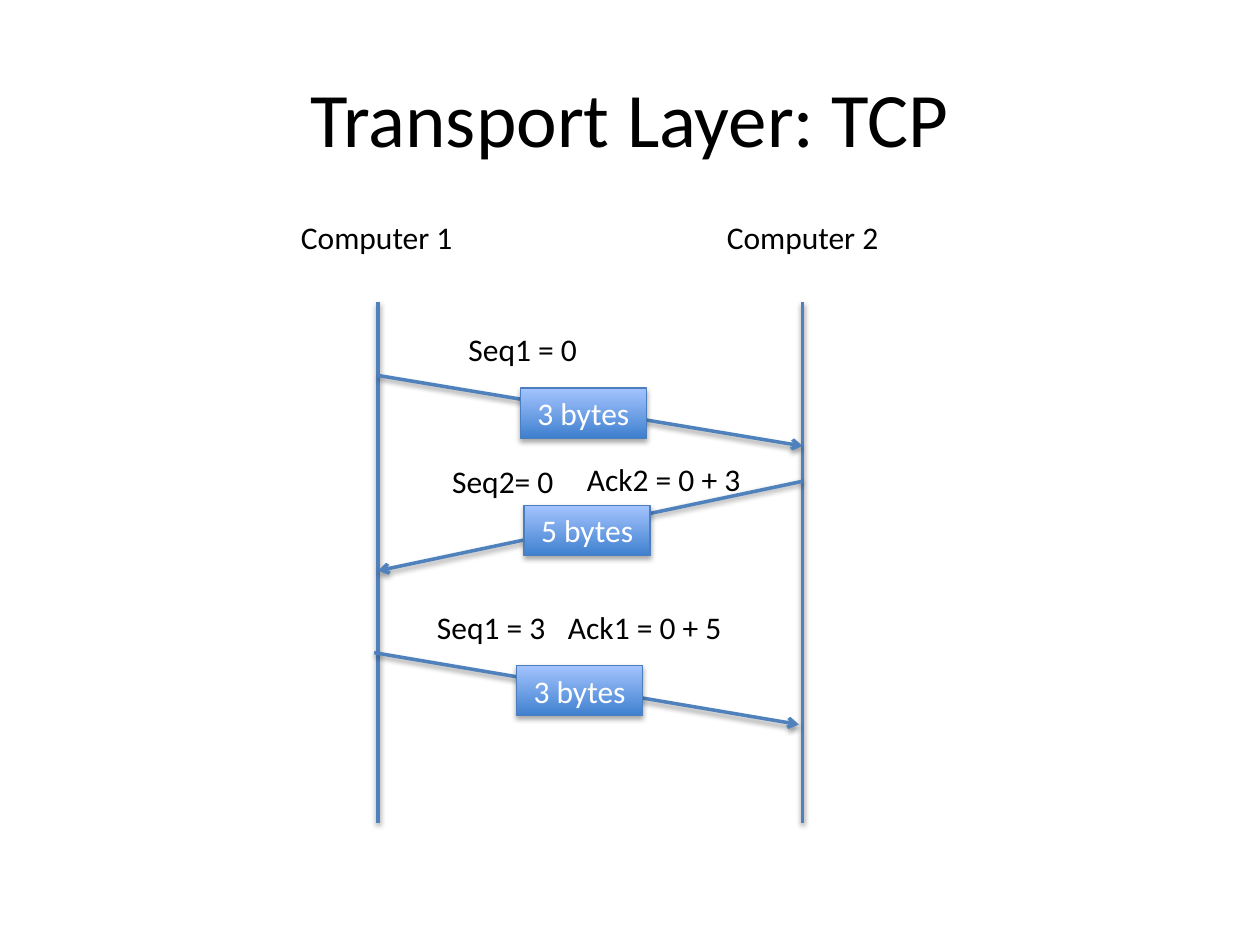
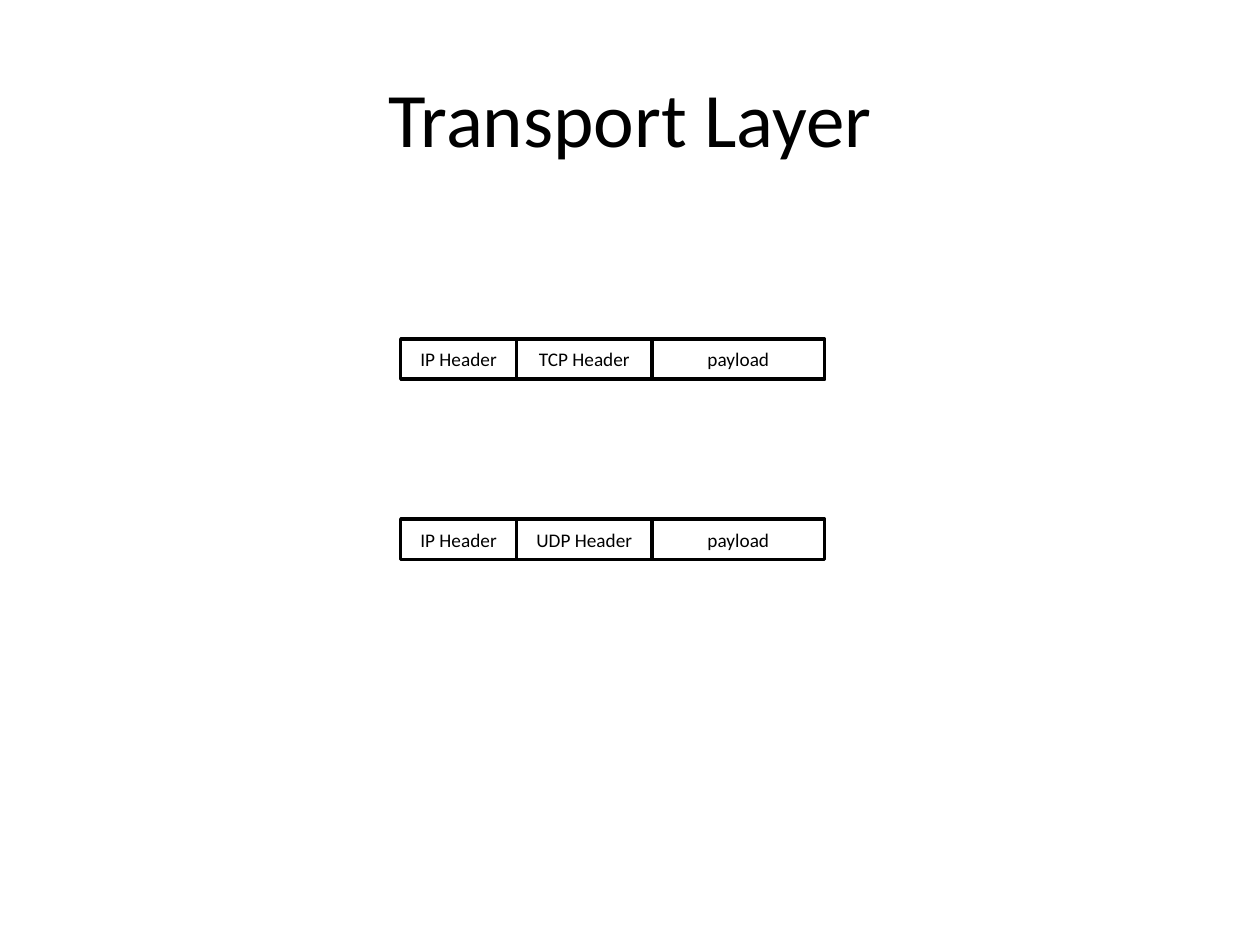
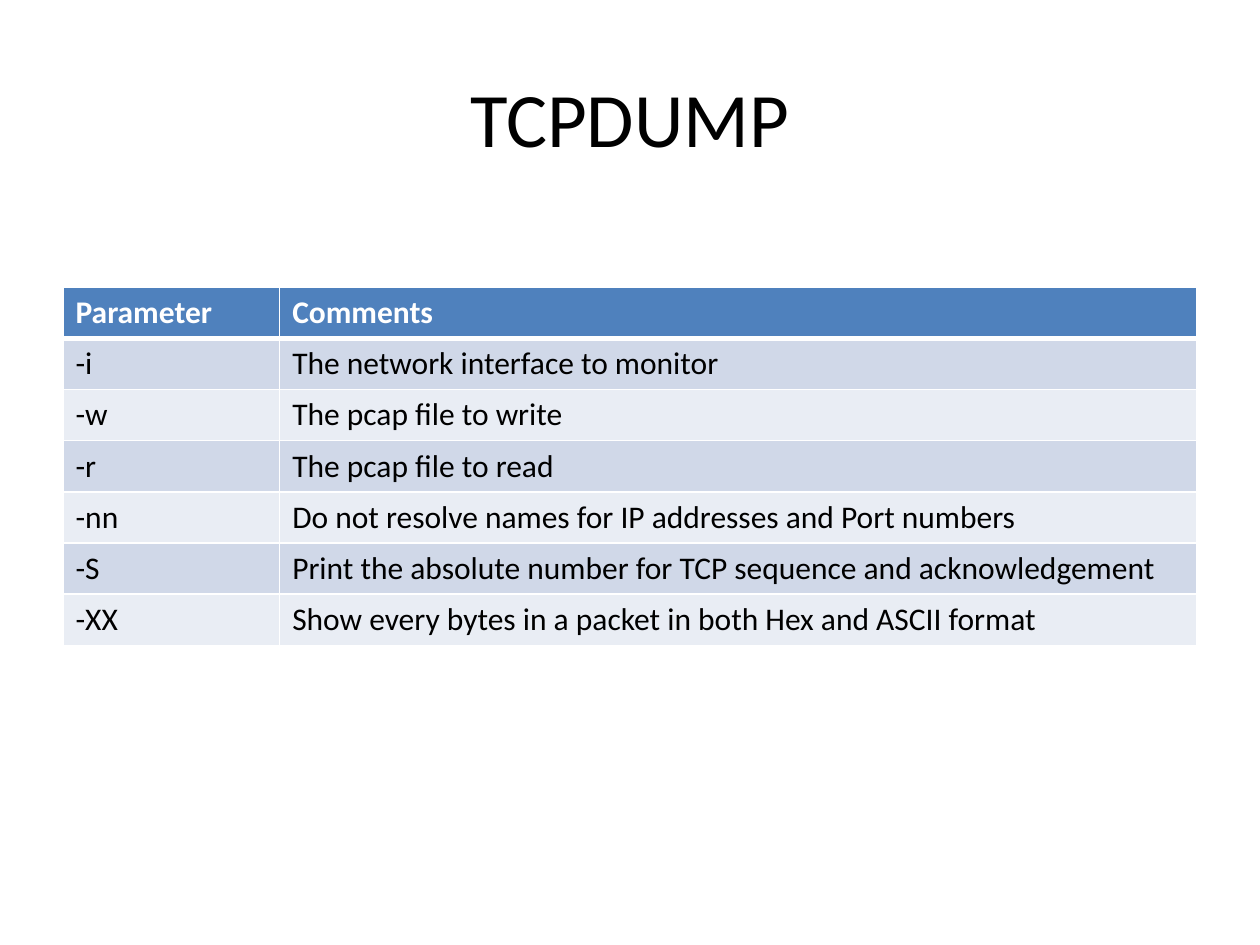
from dataclasses import dataclass
from typing import Any

import lxml.etree
import pptx
import pptx.dml.color
import pptx.enum.shapes
import pptx.enum.text
import pptx.oxml.ns
import pptx.util

# Shared grid and style: 100 columns by 75 rows on every slide
SLIDE_WIDTH, SLIDE_HEIGHT = pptx.util.Inches(10), pptx.util.Inches(7.5)
COLUMNS, ROWS = 100, 75
FONT = "Calibri"
BLACK, WHITE, BLUE, EDGE = "000000", "FFFFFF", "4F81BD", "4B7EBC"
PACKET_BOTTOM, PACKET_TOP = "3F80CE", "A4C4FF"
BANDS = ("D0D8E8", "E9EDF4")
TITLE_SIZE, BODY_SIZE, FIELD_SIZE = 44, 18, 11
CENTER = pptx.enum.text.PP_ALIGN.CENTER
MIDDLE = pptx.enum.text.MSO_ANCHOR.MIDDLE


@dataclass(frozen=True)
class Label:
    text: str
    column: float
    row: float
    width: float


@dataclass(frozen=True)
class Message:
    """One packet: the arrow it travels on, its box and its labels."""
    start: tuple[float, float]
    end: tuple[float, float]
    payload: Label
    labels: tuple[Label, ...]


@dataclass(frozen=True)
class Field:
    text: str
    width: float


# Content
LEFT_LINE, RIGHT_LINE = 30, 63.7
LINE_TOP, LINE_BOTTOM = 24, 65.3
LABEL_HEIGHT = 4
HOSTS = (Label("Computer 1", 22.9, 16.8, 14.2), Label("Computer 2", 56.7, 16.8, 14.2))
MESSAGES = (
    Message((LEFT_LINE, 29.8), (RIGHT_LINE, 35.4), Label("3 bytes", 41.3, 30.8, 10),
            (Label("Seq1 = 0", 36.2, 25.7, 10.7),)),
    Message((RIGHT_LINE, 38.2), (LEFT_LINE, 45.3), Label("5 bytes", 41.6, 40.1, 10),
            (Label("Ack2 = 0 + 3", 45.6, 36, 14.3), Label("Seq2= 0", 34.9, 36.2, 10.1))),
    Message((29.7, 51.8), (63.4, 57.5), Label("3 bytes", 41, 52.8, 10),
            (Label("Seq1 = 3", 33.7, 47.8, 10.7), Label("Ack1 = 0 + 5", 44.1, 47.8, 14.3))),
)
FRAME_LEFT, FRAME_TOP, FRAME_GAP, FRAME_HEIGHT = 31.8, 26.9, 14.3, 3.2
FRAMES = tuple(
    (Field("IP Header", 9.2), Field(f"{protocol} Header", 10.75), Field("payload", 13.7))
    for protocol in ("TCP", "UDP")
)
TABLE_LEFT, TABLE_TOP, TABLE_WIDTHS, TABLE_ROW = 5, 22.8, (17.2, 72.8), 4.06
PARAMETERS = (
    ("Parameter", "Comments"),
    ("-i", "The network interface to monitor"),
    ("-w", "The pcap file to write"),
    ("-r", "The pcap file to read"),
    ("-nn", "Do not resolve names for IP addresses and Port numbers"),
    ("-S", "Print the absolute number for TCP sequence and acknowledgement"),
    ("-XX", "Show every bytes in a packet in both Hex and ASCII format"),
)


# Helpers
def x(columns: float) -> int:
    return round(SLIDE_WIDTH * columns / COLUMNS)


def y(rows: float) -> int:
    return round(SLIDE_HEIGHT * rows / ROWS)


def rgb(color: str) -> pptx.dml.color.RGBColor:
    return pptx.dml.color.RGBColor.from_string(color)


def apply_format(target: Any, values: dict[str, Any]) -> None:
    for name, value in values.items():
        setattr(target, name, value)


def add_element(parent: Any, tag: str, **attributes: Any) -> Any:
    element = lxml.etree.SubElement(parent, pptx.oxml.ns.qn(tag))
    for name, value in attributes.items():
        element.set(name, str(value))
    return element


def write_text(frame: Any, text: str, size: float, color: str = BLACK,
               bold: bool = False, align: Any = None) -> None:
    paragraph = frame.paragraphs[0]
    paragraph.alignment = align
    run = paragraph.add_run()
    run.text = text
    apply_format(run.font, {"name": FONT, "size": pptx.util.Pt(size), "bold": bold})
    run.font.color.rgb = rgb(color)


def set_line(line: Any, color: str, width: float) -> None:
    line.color.rgb = rgb(color)
    line.width = pptx.util.Pt(width)


def add_shadow(properties: Any, distance: float, opacity: int) -> None:
    effects = properties.find(pptx.oxml.ns.qn("a:effectLst"))
    if effects is None:
        effects = add_element(properties, "a:effectLst")
    shadow = add_element(effects, "a:outerShdw", blurRad=pptx.util.Pt(3.1),
                         dist=pptx.util.Pt(distance), dir=90 * 60000, rotWithShape=0)
    shade = add_element(shadow, "a:srgbClr", val=BLACK)
    add_element(shade, "a:alpha", val=opacity * 1000)


# Drawing
def add_titled_slide(deck: Any, title: str) -> Any:
    slide = deck.slides.add_slide(deck.slide_layouts[5])
    heading = slide.shapes.title
    apply_format(heading, {"left": x(5), "top": y(3), "width": x(90), "height": y(12.5)})
    heading.text_frame.vertical_anchor = MIDDLE
    write_text(heading.text_frame, title, TITLE_SIZE, align=CENTER)
    return slide


def draw_line(slide: Any, start: tuple[float, float], end: tuple[float, float],
              arrow: bool = False) -> None:
    connector = slide.shapes.add_connector(
        pptx.enum.shapes.MSO_CONNECTOR.STRAIGHT,
        x(start[0]), y(start[1]), x(end[0]), y(end[1]))
    set_line(connector.line, BLUE, 2)
    properties = connector._element.spPr
    if arrow:
        add_element(properties.find(pptx.oxml.ns.qn("a:ln")), "a:tailEnd", type="arrow")
    add_shadow(properties, 1.6, 38)


def draw_label(slide: Any, label: Label) -> None:
    box = slide.shapes.add_textbox(x(label.column), y(label.row),
                                   x(label.width), y(LABEL_HEIGHT))
    apply_format(box.text_frame, {
        "word_wrap": False,
        "auto_size": pptx.enum.text.MSO_AUTO_SIZE.SHAPE_TO_FIT_TEXT,
    })
    write_text(box.text_frame, label.text, BODY_SIZE)


def draw_box(slide: Any, label: Label, height: float, size: float, color: str) -> Any:
    box = slide.shapes.add_shape(pptx.enum.shapes.MSO_SHAPE.RECTANGLE, x(label.column),
                                 y(label.row), x(label.width), y(height))
    box.shadow.inherit = False
    box.text_frame.vertical_anchor = MIDDLE
    write_text(box.text_frame, label.text, size, color, align=CENTER)
    return box


def draw_message(slide: Any, message: Message) -> None:
    draw_line(slide, message.start, message.end, arrow=True)
    for label in message.labels:
        draw_label(slide, label)
    packet = draw_box(slide, message.payload, LABEL_HEIGHT, BODY_SIZE, WHITE)
    packet.fill.gradient()
    packet.fill.gradient_angle = 90
    for stop, color in zip(packet.fill.gradient_stops, (PACKET_BOTTOM, PACKET_TOP)):
        stop.color.rgb = rgb(color)
    set_line(packet.line, EDGE, 0.75)
    add_shadow(packet._element.spPr, 1.8, 35)


def draw_frame(slide: Any, fields: tuple[Field, ...], row: float) -> None:
    column = FRAME_LEFT
    for field in fields:
        label = Label(field.text, column, row, field.width)
        box = draw_box(slide, label, FRAME_HEIGHT, FIELD_SIZE, BLACK)
        box.fill.solid()
        box.fill.fore_color.rgb = rgb(WHITE)
        set_line(box.line, BLACK, 2)
        column += field.width


def format_cell(cell: Any, text: str, row: int) -> None:
    header = row == 0
    widths = {"L": 1, "R": 1, "T": 3 if row == 1 else 1, "B": 3 if header else 1}
    properties = cell._tc.get_or_add_tcPr()
    for side, width in widths.items():
        border = add_element(properties, f"a:ln{side}", w=pptx.util.Pt(width))
        add_element(add_element(border, "a:solidFill"), "a:srgbClr", val=WHITE)
    cell.fill.solid()
    cell.fill.fore_color.rgb = rgb(BLUE if header else BANDS[(row - 1) % 2])
    write_text(cell.text_frame, text, BODY_SIZE, WHITE if header else BLACK, header)


# Slides
def build_exchange(deck: Any) -> None:
    slide = add_titled_slide(deck, "Transport Layer: TCP")
    for column in (LEFT_LINE, RIGHT_LINE):
        draw_line(slide, (column, LINE_TOP), (column, LINE_BOTTOM))
    for host in HOSTS:
        draw_label(slide, host)
    for message in MESSAGES:
        draw_message(slide, message)


def build_frames(deck: Any) -> None:
    slide = add_titled_slide(deck, "Transport Layer")
    for index, fields in enumerate(FRAMES):
        draw_frame(slide, fields, FRAME_TOP + index * FRAME_GAP)


def build_parameters(deck: Any) -> None:
    slide = add_titled_slide(deck, "TCPDUMP")
    parameters = slide.shapes.add_table(
        len(PARAMETERS), len(TABLE_WIDTHS), x(TABLE_LEFT), y(TABLE_TOP),
        x(sum(TABLE_WIDTHS)), y(TABLE_ROW * len(PARAMETERS))).table
    apply_format(parameters, {"first_row": False, "horz_banding": False})
    for column, width in zip(parameters.columns, TABLE_WIDTHS):
        column.width = x(width)
    for row, texts in enumerate(PARAMETERS):
        parameters.rows[row].height = y(TABLE_ROW)
        for column, text in enumerate(texts):
            format_cell(parameters.cell(row, column), text, row)


def main() -> None:
    deck = pptx.Presentation()
    apply_format(deck, {"slide_width": SLIDE_WIDTH, "slide_height": SLIDE_HEIGHT})
    for build in (build_exchange, build_frames, build_parameters):
        build(deck)
    deck.save("out.pptx")


if __name__ == "__main__":
    main()
